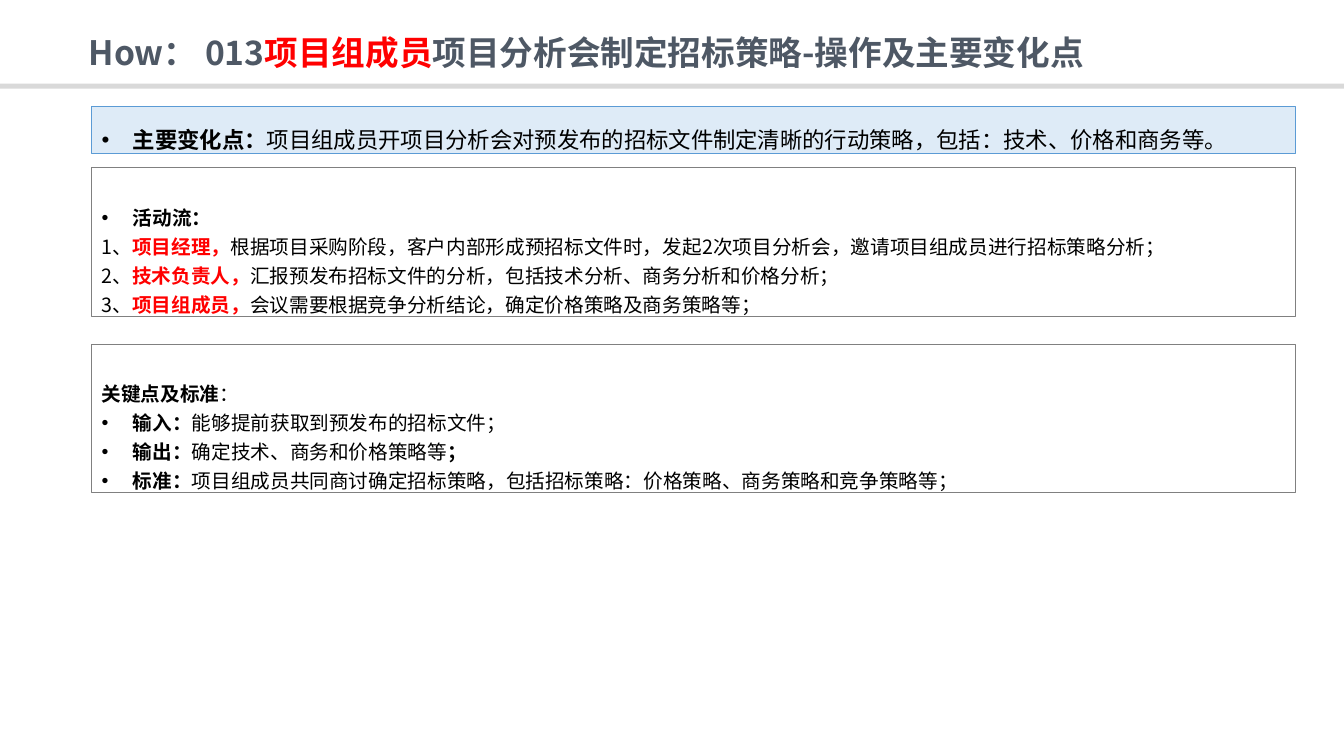
from dataclasses import dataclass

from lxml import etree
from pptx import Presentation
from pptx import util as u
from pptx.dml.color import RGBColor
from pptx.enum import shapes, text
from pptx.oxml import ns


@dataclass(frozen=True)
class Theme:
    font: str = "Noto Sans CJK SC"
    title_ink: str = "4E5865"
    accent: str = "FF0000"
    ink: str = "000000"
    rule: str = "D9D9D9"
    change_fill: str = "DEEBF7"
    change_line: str = "5B9BD5"
    box_line: str = "808080"
    title_size: float = 24
    change_size: float = 16
    body_size: float = 14
    line_spacing: float = 1.24
    bullet_indent: float = 0.31


THEME = Theme()


@dataclass(frozen=True)
class Span:
    words: str
    bold: bool = False
    color: str = THEME.ink


@dataclass(frozen=True)
class Line:
    spans: tuple[Span, ...]
    bullet: bool = False


@dataclass(frozen=True)
class Panel:
    top: float
    height: float
    size: float
    lines: tuple[Line, ...]
    outline: str = THEME.box_line
    fill: str | None = None


def point(label: str, *details: Span) -> Line:
    return Line((Span(label, True), *details), bullet=True)


def step(number: int, role: str, action: str) -> Line:
    return Line((Span(f"{number}、"), Span(role, True, THEME.accent), Span(action)))


TITLE = (
    Span("How： 013", True, THEME.title_ink),
    Span("项目组成员", True, THEME.accent),
    Span("项目分析会制定招标策略-操作及主要变化点", True, THEME.title_ink),
)

PANELS = (
    Panel(1.06, 0.46, THEME.change_size, (
        point("主要变化点：", Span(
            "项目组成员开项目分析会对预发布的招标文件制定清晰的行动策略，"
            "包括：技术、价格和商务等。")),
    ), THEME.change_line, THEME.change_fill),
    Panel(1.66, 1.48, THEME.body_size, (
        point("活动流："),
        step(1, "项目经理，", "根据项目采购阶段，客户内部形成预招标文件时，"
             "发起2次项目分析会，邀请项目组成员进行招标策略分析；"),
        step(2, "技术负责人，", "汇报预发布招标文件的分析，包括技术分析、商务分析和价格分析；"),
        step(3, "项目组成员，", "会议需要根据竞争分析结论，确定价格策略及商务策略等；"),
    )),
    Panel(3.42, 1.47, THEME.body_size, (
        Line((Span("关键点及标准", True), Span("："))),
        point("输入：", Span("能够提前获取到预发布的招标文件；")),
        point("输出：", Span("确定技术、商务和价格策略等"), Span("；", True)),
        point("标准：", Span("项目组成员共同商讨确定招标策略，"
                          "包括招标策略：价格策略、商务策略和竞争策略等；")),
    )),
)


def write_spans(paragraph, spans: tuple[Span, ...], size: float) -> None:
    for span in spans:
        run = paragraph.add_run()
        run.text = span.words
        run.font.size = u.Pt(size)
        run.font.bold = span.bold
        run.font.color.rgb = RGBColor.from_string(span.color)
        run.font.name = THEME.font
        east_asian = etree.Element(ns.qn("a:ea"), typeface=THEME.font)
        run.font._element.find(ns.qn("a:latin")).addnext(east_asian)


def add_bullet(paragraph) -> None:
    properties = paragraph._p.get_or_add_pPr()
    indent = u.Inches(THEME.bullet_indent)
    properties.set("marL", str(indent))
    properties.set("indent", str(-indent))
    etree.SubElement(properties, ns.qn("a:buFont"), typeface="Arial")
    etree.SubElement(properties, ns.qn("a:buChar"), char="•")


def add_rectangle(slide, left: float, top: float, width: float, height: float,
                  fill: str | None, outline: str | None):
    rectangle = slide.shapes.add_shape(
        shapes.MSO_SHAPE.RECTANGLE,
        u.Inches(left), u.Inches(top), u.Inches(width), u.Inches(height))
    rectangle.shadow.inherit = False
    if fill:
        rectangle.fill.solid()
        rectangle.fill.fore_color.rgb = RGBColor.from_string(fill)
    else:
        rectangle.fill.background()
    if outline:
        rectangle.line.color.rgb = RGBColor.from_string(outline)
        rectangle.line.width = u.Pt(0.75)
    else:
        rectangle.line.fill.background()
    return rectangle


def add_title(slide) -> None:
    title = slide.shapes.title
    title.left, title.top = u.Inches(0.78), u.Inches(0.31)
    title.width, title.height = u.Inches(12.55), u.Inches(0.47)
    frame = title.text_frame
    frame.word_wrap = True
    frame.auto_size = text.MSO_AUTO_SIZE.NONE
    frame.vertical_anchor = text.MSO_ANCHOR.MIDDLE
    heading = frame.paragraphs[0]
    heading.alignment = text.PP_ALIGN.LEFT
    heading.line_spacing = 0.9
    write_spans(heading, TITLE, THEME.title_size)


def add_panel(slide, panel: Panel) -> None:
    box = add_rectangle(slide, 0.91, panel.top, 11.94, panel.height,
                        panel.fill, panel.outline)
    frame = box.text_frame
    frame.word_wrap = True
    frame.vertical_anchor = text.MSO_ANCHOR.BOTTOM
    frame.margin_top = frame.margin_bottom = 0
    for index, line in enumerate(panel.lines):
        paragraph = frame.add_paragraph() if index else frame.paragraphs[0]
        paragraph.alignment = text.PP_ALIGN.LEFT
        paragraph.line_spacing = THEME.line_spacing
        if line.bullet:
            add_bullet(paragraph)
        write_spans(paragraph, line.spans, panel.size)


def main() -> None:
    deck = Presentation()
    deck.slide_width, deck.slide_height = u.Inches(13.33), u.Inches(7.5)
    slide = deck.slides.add_slide(deck.slide_layouts[5])
    add_rectangle(slide, 0, 0.83, 13.33, 0.05, THEME.rule, None)
    add_title(slide)
    for panel in PANELS:
        add_panel(slide, panel)
    deck.save("out.pptx")


if __name__ == "__main__":
    main()
